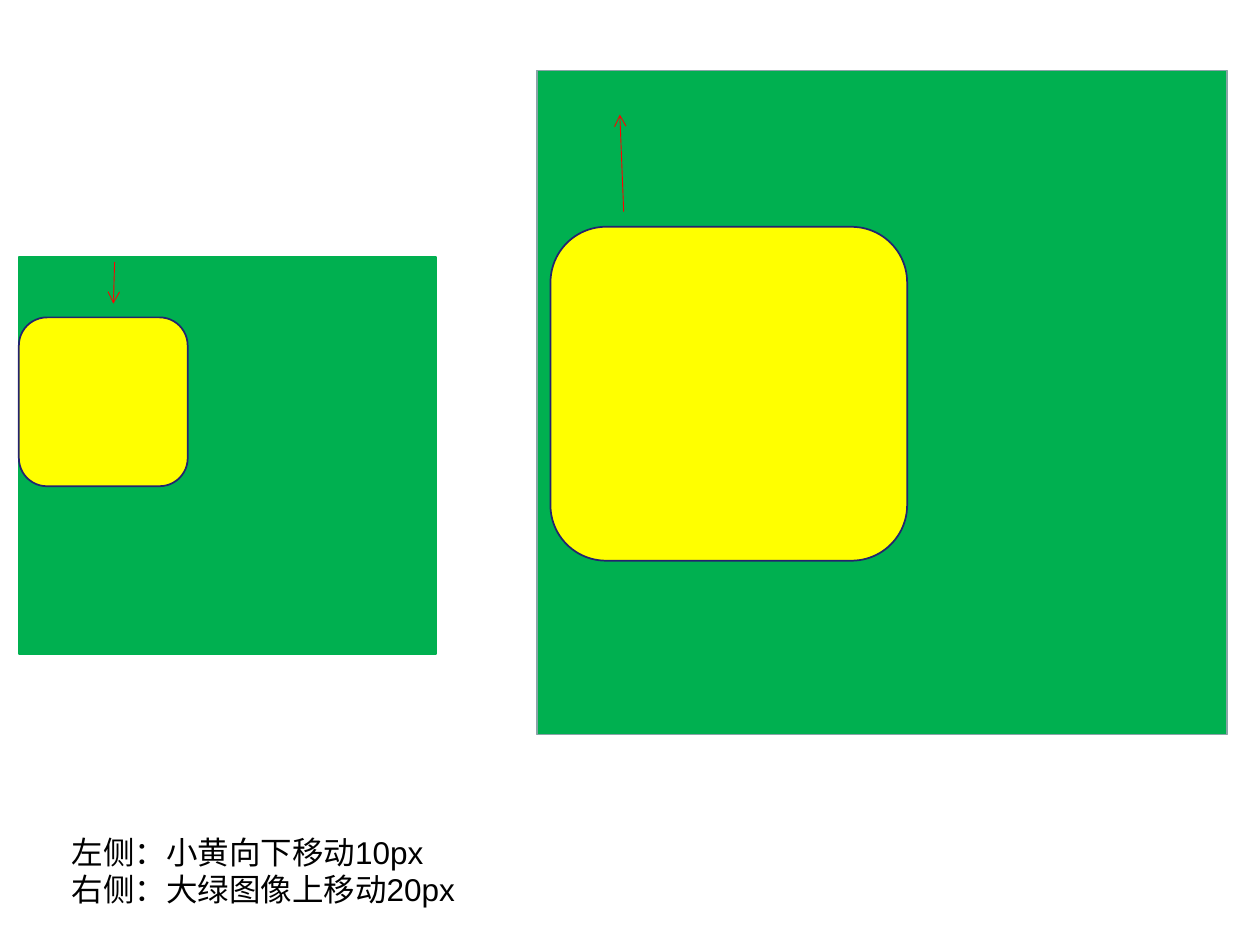
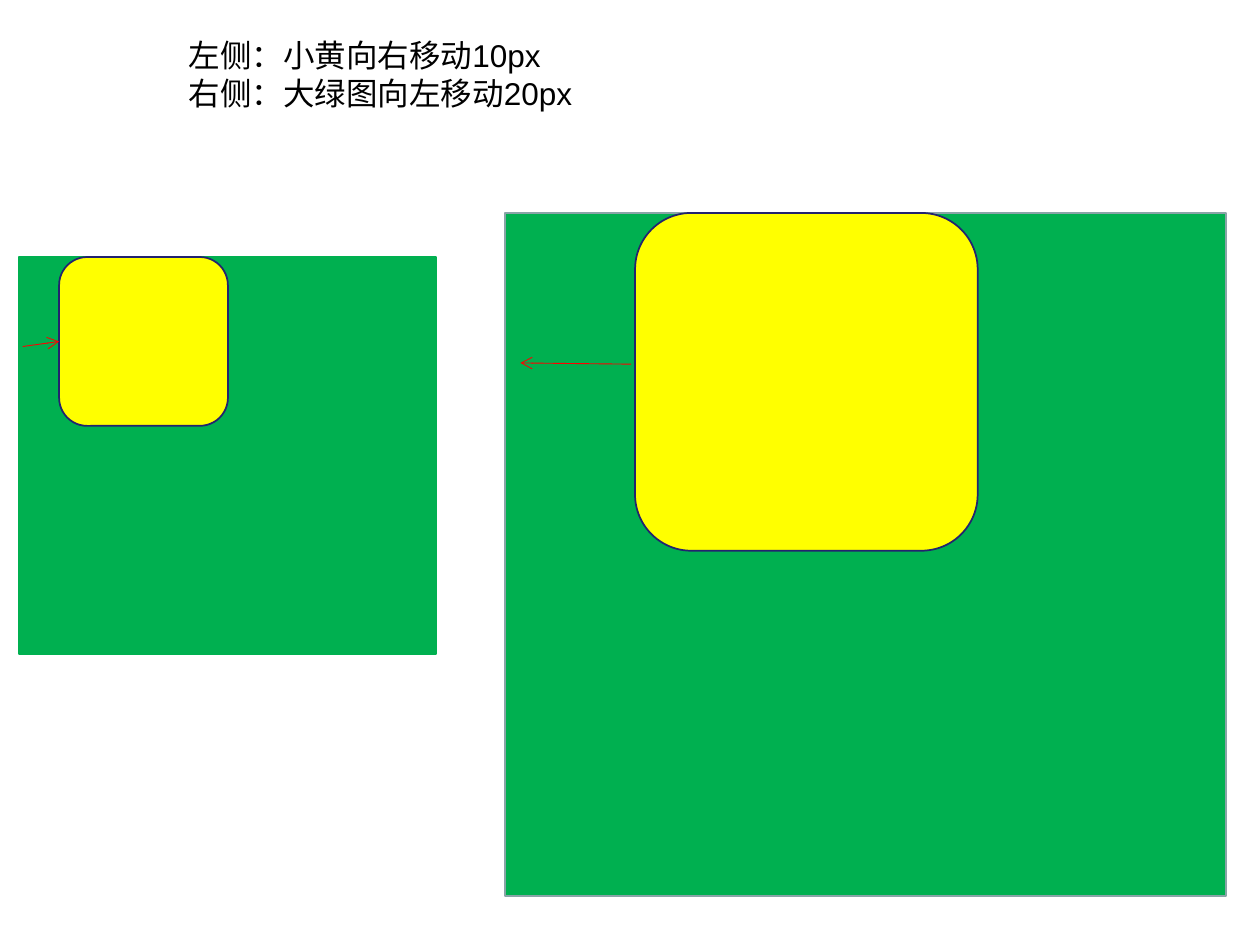
from lxml.etree import SubElement
from pptx import Presentation
from pptx.dml.color import RGBColor
from pptx.enum.shapes import MSO_CONNECTOR, MSO_SHAPE
from pptx.oxml.ns import qn
from pptx.util import Pt

GREEN, YELLOW, RED = "00B050", "FFFF00", "FF0000"
GREY, NAVY, BLACK = "89A4A7", "23236F", "000000"
SMALL = (10.8, 146.9, 238.3, 226.8)


def color(code):
    return RGBColor.from_string(code)


def add_box(slide, kind, box, fill, edge):
    shape = slide.shapes.add_shape(kind, *map(Pt, box))
    shape.shadow.inherit = False
    shape.fill.solid()
    shape.fill.fore_color.rgb = color(fill)
    shape.line.color.rgb = color(edge)
    shape.line.width = Pt(1)
    return shape


pages = [
    {
        "large": (306.7, 40.3, 394.6, 379.4),
        "tiles": [(10.8, 181.4, 96.5, 96.5), (314.6, 129.6, 203.8, 190.8)],
        "arrows": [(65.5, 149.8, 64.8, 173.5), (356.4, 121, 354.2, 65.5)],
        "joined": False,
        "note": (33.8, 472.3, 617.8, 50.4),
        "text": "左侧：小黄向下移动10px\v右侧：大绿图像上移动20px",
    },
    {
        "large": (288.7, 121.7, 411.8, 390.2),
        "tiles": [(33.8, 146.9, 96.5, 96.5), (362.9, 121.7, 195.8, 193)],
        "arrows": [(13, 198, 33.8, 195.1), (360.7, 208.1, 297.4, 207.4)],
        "joined": True,
        "note": (100.8, 17.3, 583.9, 50.4),
        "text": "左侧：小黄向右移动10px\v右侧：大绿图向左移动20px",
    },
]

deck = Presentation()
deck.slide_width, deck.slide_height = Pt(720), Pt(540)

for page in pages:
    slide = deck.slides.add_slide(deck.slide_layouts[6])
    add_box(slide, MSO_SHAPE.RECTANGLE, SMALL, GREEN, GREEN)
    add_box(slide, MSO_SHAPE.RECTANGLE, page["large"], GREEN, GREY)
    tiles = [add_box(slide, MSO_SHAPE.ROUNDED_RECTANGLE, box, YELLOW, NAVY)
             for box in page["tiles"]]

    arrows = []
    for ends in page["arrows"]:
        arrow = slide.shapes.add_connector(MSO_CONNECTOR.STRAIGHT, *map(Pt, ends))
        arrow.line.color.rgb = color(RED)
        arrow.line.width = Pt(0.5)
        SubElement(arrow.line._get_or_add_ln(), qn("a:tailEnd"), type="arrow")
        SubElement(arrow._element.spPr, qn("a:effectLst"))
        arrows.append(arrow)
    if page["joined"]:
        arrows[0].end_connect(tiles[0], 1)

    frame = slide.shapes.add_textbox(*map(Pt, page["note"])).text_frame
    frame.word_wrap = True
    line = frame.paragraphs[0]
    line.text = page["text"]
    line.font.name = "Arial"
    line.font.size = Pt(18)
    line.font.color.rgb = color(BLACK)

deck.save("out.pptx")
